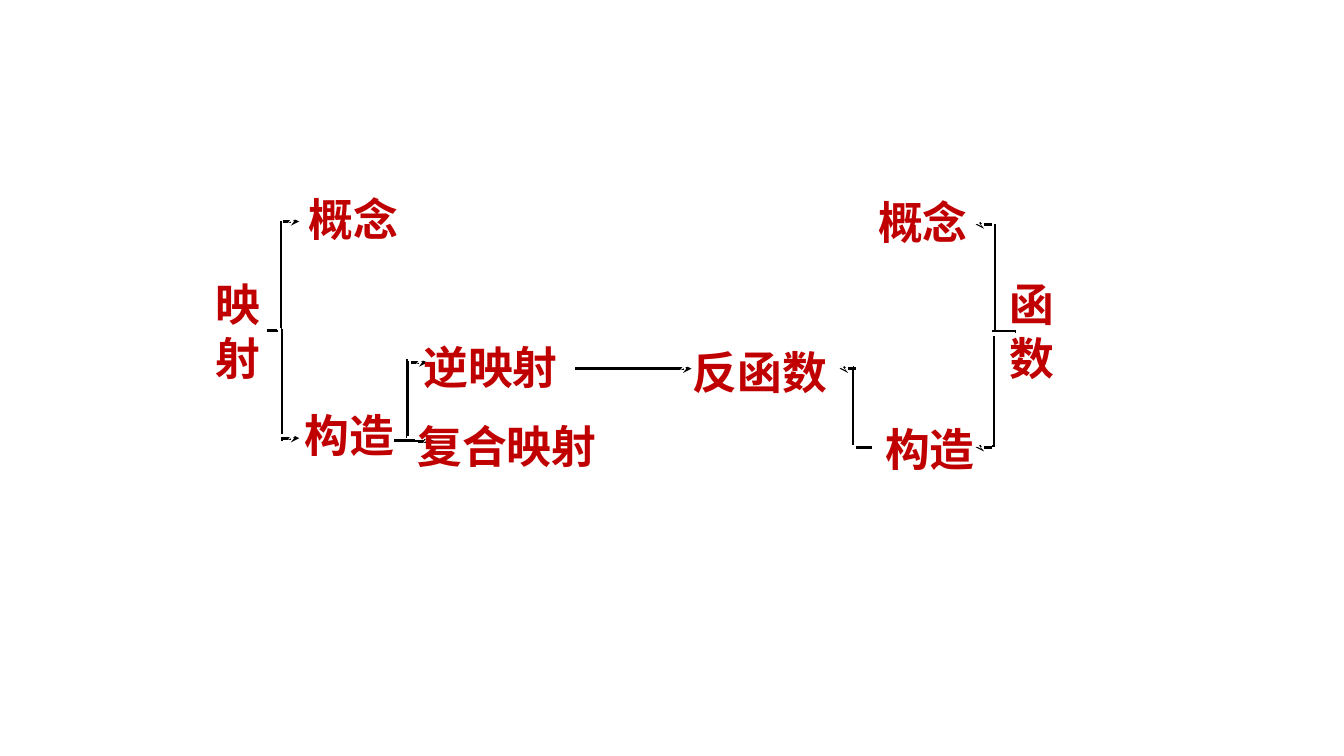
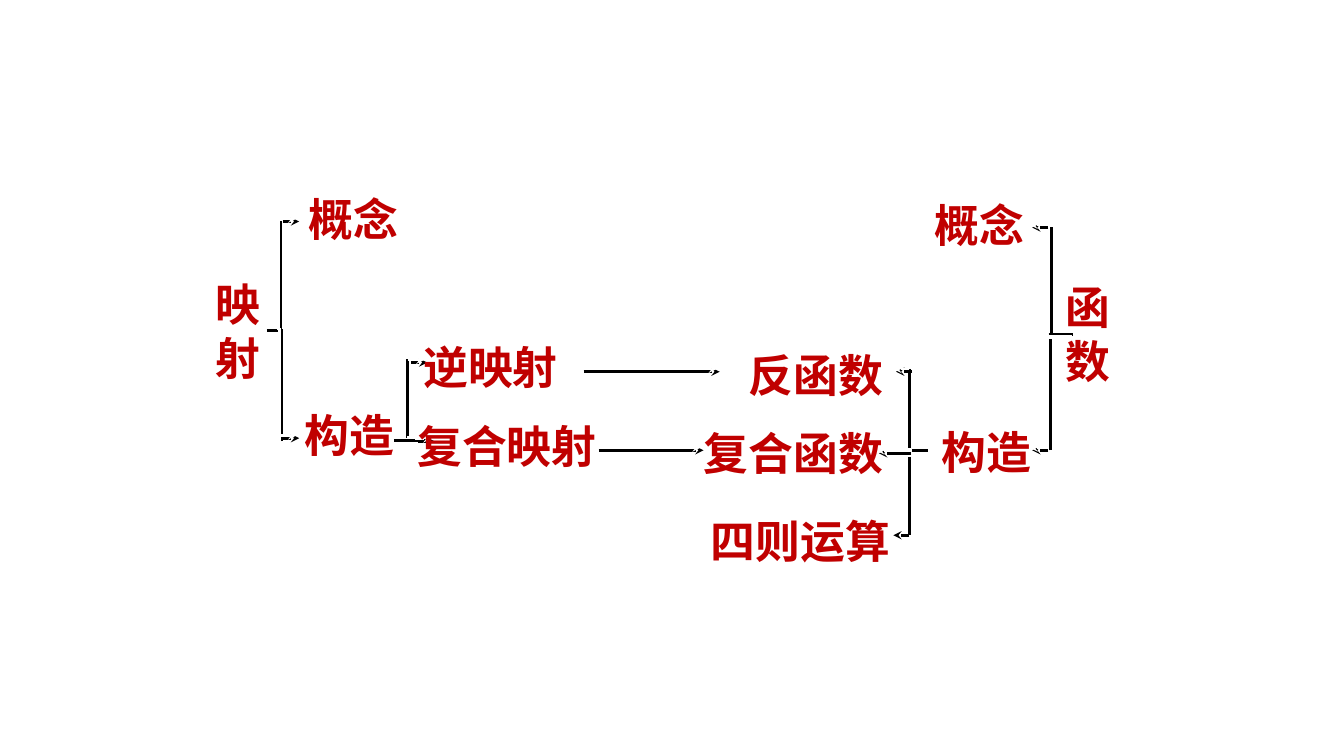
from lxml import etree
from pptx import Presentation
from pptx import util as u
from pptx.dml.color import RGBColor
from pptx.enum import shapes, text
from pptx.oxml import ns

COLORS = {"label": "C00000", "white": "FFFFFF", "black": "000000"}
FONT = "Noto Sans CJK SC"
SIZE = 32
LABEL_H = 0.64
TALL_H = 1.18
STUB = 0.16


def add_xml(parent, tag, **attrs):
    return etree.SubElement(parent, ns.qn(tag), attrs)


def add_label(s, x, y, w, words, h=LABEL_H):
    sp = s.shapes.add_textbox(u.Inches(x), u.Inches(y), u.Inches(w), u.Inches(h))
    tf = sp.text_frame
    tf.word_wrap = True
    tf.auto_size = text.MSO_AUTO_SIZE.SHAPE_TO_FIT_TEXT
    tf.text = words
    r = tf.paragraphs[0].runs[0]
    r.font.size = u.Pt(SIZE)
    r.font.bold = True
    r.font.color.rgb = RGBColor.from_string(COLORS["label"])
    r.font.name = FONT
    add_xml(r.font._element, "a:ea", typeface=FONT)


def add_line(s, x1, y1, x2, y2, color="white", arrow=False, shadow=True):
    ends = [u.Inches(v) for v in (x1, y1, x2, y2)]
    cx = s.shapes.add_connector(shapes.MSO_CONNECTOR.STRAIGHT, *ends)
    cx.line.width = u.Pt(2)
    cx.line.color.rgb = RGBColor.from_string(COLORS[color])
    if arrow:
        add_xml(cx.line._get_or_add_ln(), "a:tailEnd", type="stealth")
    effects = add_xml(cx._element.spPr, "a:effectLst")
    if shadow and color == "white":
        outer = add_xml(effects, "a:outerShdw", blurRad="0", dist="35921",
                        dir="2700000", algn="ctr", rotWithShape="0")
        add_xml(outer, "a:srgbClr", val=COLORS["black"])


def add_stub(s, x, y, direction=1, **style):
    add_line(s, x, y, x + direction * STUB, y, **style)


def add_mapping_side(s):
    add_stub(s, 2.62, 3.25)
    add_line(s, 2.76, 3.27, 2.76, 2.17)
    add_stub(s, 2.78, 2.17, arrow=True)
    add_label(s, 2.04, 2.7, 0.53, "映射", TALL_H)
    add_label(s, 2.96, 1.85, 1.21, "概念")
    add_line(s, 2.77, 4.35, 2.77, 3.25)
    add_stub(s, 2.78, 4.32, arrow=True)
    add_stub(s, 3.88, 4.34)
    add_line(s, 4.04, 3.56, 4.04, 4.35, color="black")
    add_stub(s, 4.05, 3.57, arrow=True)
    add_label(s, 4.1, 3.32, 1.57, "逆映射")
    add_label(s, 2.92, 4, 1.25, "构造")
    add_stub(s, 4.04, 4.34)
    add_stub(s, 4.12, 4.35, arrow=True)
    add_label(s, 4.04, 4.1, 2.09, "复合映射")


def add_function_side(s, dx=0, dy=0):
    def line(x1, y1, x2, y2, **style):
        add_line(s, x1 + dx, y1 + dy, x2 + dx, y2 + dy, **style)

    def stub(x, y, direction=-1, **style):
        add_stub(s, x + dx, y + dy, direction, **style)

    def label(x, y, w, words, h=LABEL_H):
        add_label(s, x + dx, y + dy, w, words, h)

    label(9.91, 2.7, 0.53, "函数", TALL_H)
    line(9.84, 3.29, 9.84, 2.19)
    stub(9.81, 2.2, arrow=True)
    line(9.84, 3.29, 10.08, 3.29, color="black")
    label(8.61, 1.88, 1.21, "概念")
    line(9.83, 4.41, 9.83, 3.31)
    stub(9.81, 4.41, arrow=True)
    stub(8.46, 4.41, direction=1)
    line(8.46, 3.63, 8.46, 4.41, color="black")
    stub(8.46, 3.63, arrow=True)
    line(9.83, 3.31, 10.07, 3.31, shadow=False)
    label(8.68, 4.13, 1.25, "构造")
    label(6.77, 3.37, 1.77, "反函数")


def add_function_operations(s):
    add_stub(s, 9.01, 4.47, -1)
    add_stub(s, 8.85, 4.47, -1, arrow=True)
    add_line(s, 5.91, 4.44, 6.95, 4.44, arrow=True)
    add_label(s, 6.88, 4.17, 2.09, "复合函数")
    add_stub(s, 9.02, 5.31, -1, color="black", arrow=True)
    add_line(s, 9.02, 4.53, 9.02, 5.31, color="black")
    add_label(s, 6.95, 5.05, 2.09, "四则运算")


def main():
    prs = Presentation()
    prs.slide_width, prs.slide_height = u.Inches(13.33), u.Inches(7.5)
    blank = prs.slide_layouts[6]

    s = prs.slides.add_slide(blank)
    add_mapping_side(s)
    add_function_side(s)
    add_line(s, 5.68, 3.63, 6.83, 3.63, arrow=True)

    s = prs.slides.add_slide(blank)
    add_mapping_side(s)
    add_function_side(s, dx=0.56, dy=0.03)
    add_line(s, 5.76, 3.66, 7.11, 3.66, arrow=True)
    add_function_operations(s)

    prs.save("out.pptx")


if __name__ == "__main__":
    main()
